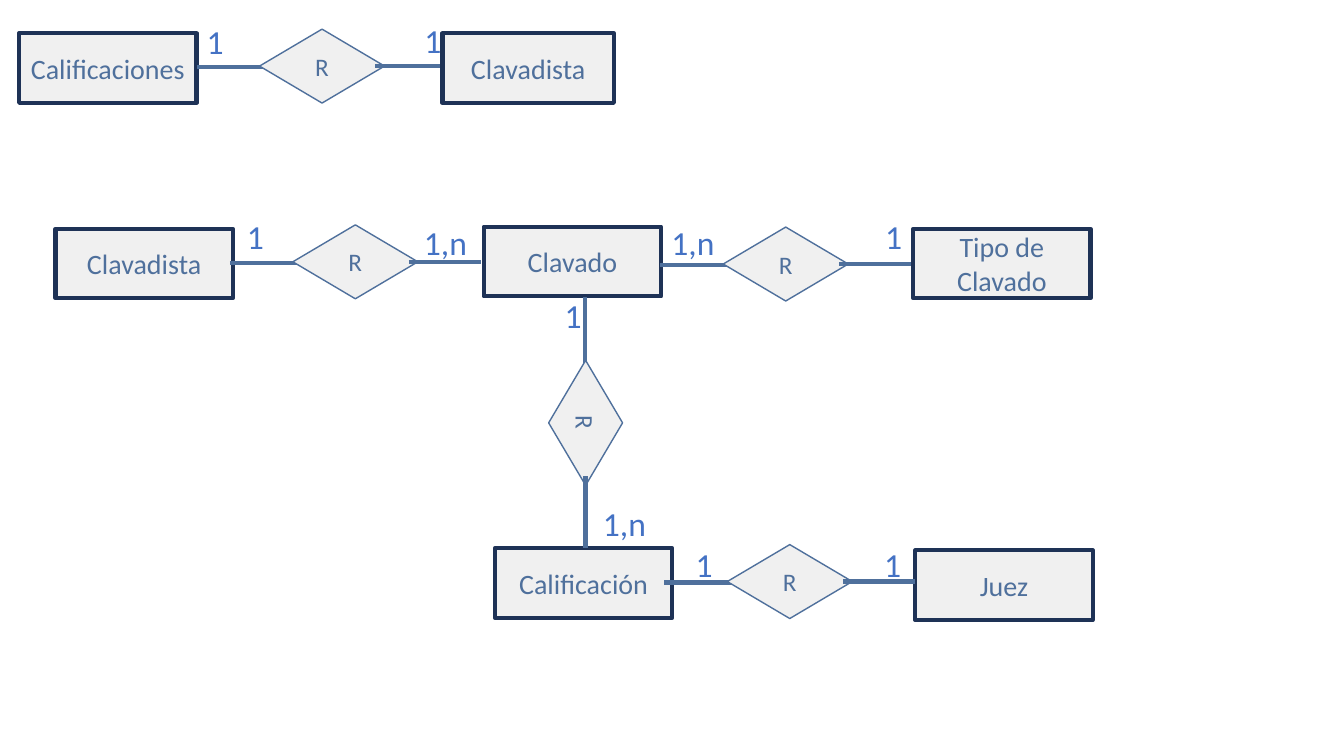
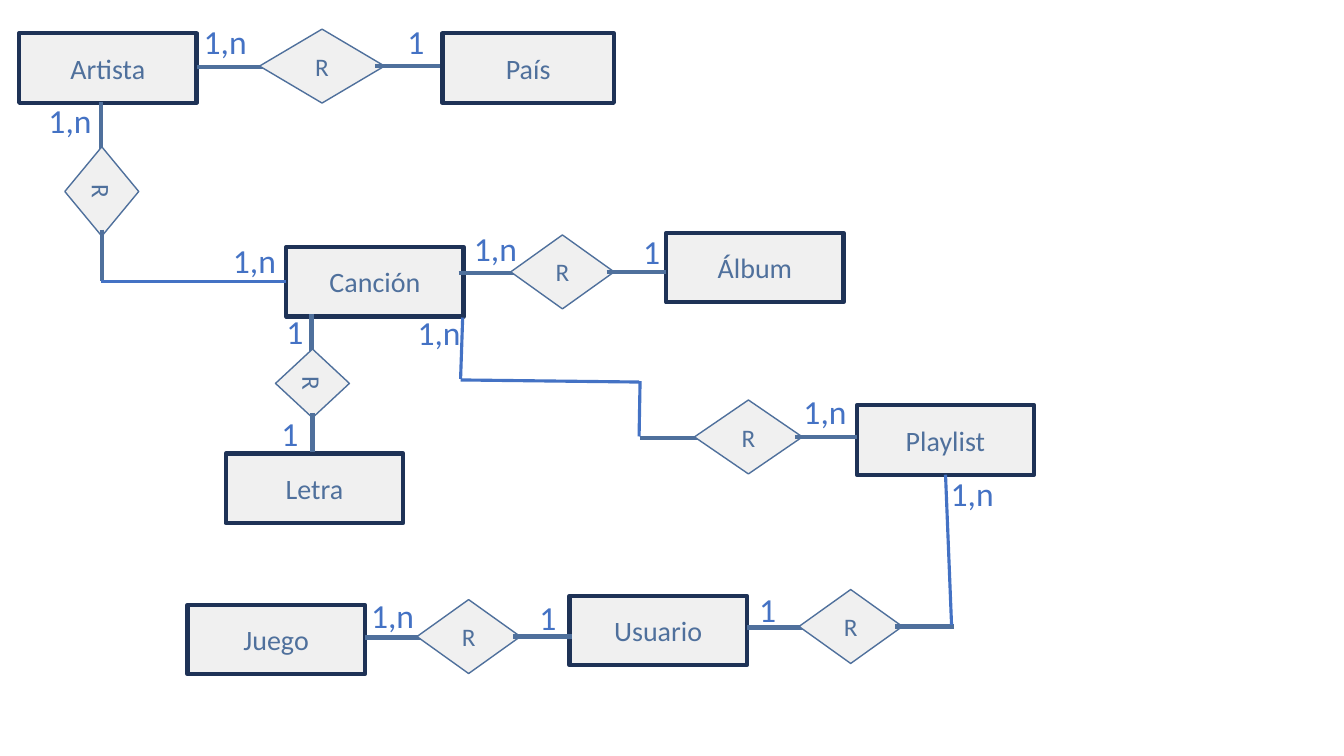
"""Build two slides of entity-relationship diagrams."""
import dataclasses

import lxml.etree
import pptx
import pptx.dml.color
import pptx.enum.shapes
import pptx.enum.text
import pptx.oxml.ns
import pptx.util

Pt = pptx.util.Pt
Shapes = pptx.enum.shapes.MSO_SHAPE
color = pptx.dml.color.RGBColor.from_string


@dataclasses.dataclass(frozen=True)
class Theme:
    font: str = "Calibri"
    fill: str = "F0F0F0"
    border: str = "1E3256"
    steel: str = "4F709C"
    accent: str = "4472C4"
    entity_size: int = 20
    relation_size: int = 18
    label_size: int = 24


theme = Theme()
ENTITY_WIDTH, ENTITY_HEIGHT = 126.7, 49.7
DIAMOND_HEIGHT = 52.8
LABEL_WIDTH, LABEL_HEIGHT = 46, 36.3
LINE_SHARE, DIAMOND_SHARE = 0.287, 0.498

DIAGRAMS = [
    {
        "elements": [
            ("entity", "Calificaciones", 13.7, 23.8),
            ("across", 140.4, 47.2, 179.3),
            ("entity", "Clavadista", 316.1, 23.8, 122.4),
            ("entity", "Clavadista", 39.6, 163.4),
            ("entity", "Clavado", 345.6, 162),
            ("entity", "Tipo de Clavado", 652.3, 163.4),
            ("entity", "Juez", 653.8, 393.1),
            ("across", 164.2, 187, 179.3),
            ("across", 471.6, 188.6, 179.3),
            ("entity", "Calificación", 353.5, 391.7),
            ("down", 212.4, 418.3, 179.3),
            ("across", 474.5, 415.4, 179.3),
        ],
        "labels": [
            ("1", 153.7, 11.5), ("1", 309.2, 10.8),
            ("1", 182.5, 150.5), ("1,n", 318.2, 154.8),
            ("1,n", 495, 154.8), ("1", 638.3, 150.5),
            ("1,n", 446, 355.7), ("1", 409.3, 207.4),
            ("1", 502.9, 385.2), ("1", 637.6, 385.2),
        ],
    },
    {
        "elements": [
            ("entity", "Artista", 13.7, 23.8),
            ("across", 140.4, 47.2, 179.3),
            ("entity", "País", 316.1, 23.8, 122.4),
            ("entity", "Canción", 204.5, 176.4),
            ("down", 72.7, 72.7, 128.2),
            ("link", (204.5, 200.9), (72, 200.9)),
            ("entity", "Álbum", 475.9, 166.3),
            ("across", 327.6, 194.2, 148.3),
            ("entity", "Letra", 161.3, 324),
            ("down", 224.6, 223.2, 98.6),
            ("entity", "Juego", 133.9, 432),
            ("entity", "Usuario", 406.8, 425.5),
            ("entity", "Playlist", 612, 289.4),
            ("across", 260.6, 454.7, 148.3),
            ("across", 533.5, 447.5, 148.3),
            ("link", (675.4, 339.1), (679.7, 446.4)),
            ("across", 457.2, 312.1, 154.8),
            ("link", (457.2, 272.2), (456.5, 311.8)),
            ("link", (329, 271.4), (456.5, 272.9)),
            ("link", (330.5, 226.8), (329, 270.7)),
        ],
        "labels": [
            ("1,n", 160.9, 11.5), ("1", 297, 11.5),
            ("1,n", 50, 67.7), ("1,n", 181.8, 167.8),
            ("1", 465.5, 161.3), ("1,n", 353.9, 159.1),
            ("1", 210.6, 218.2), ("1", 207, 291.6),
            ("1", 391.3, 422.6), ("1,n", 280.4, 421.2),
            ("1", 548.3, 416.9), ("1,n", 694.4, 334.1),
            ("1,n", 313.6, 218.9), ("1,n", 589.3, 275.8),
        ],
    },
]


def add_text(slide, text, *, box, size, ink, preset=None, border=None, weight=0, rotation=0):
    """Add centred text, inside a preset shape if one is given."""
    frame = [Pt(length) for length in box]
    if preset is None:
        shape = slide.shapes.add_textbox(*frame)
        anchor = pptx.enum.text.MSO_ANCHOR.TOP
    else:
        shape = slide.shapes.add_shape(preset, *frame)
        shape.shadow.inherit = False
        shape.fill.solid()
        shape.fill.fore_color.rgb = color(theme.fill)
        shape.line.color.rgb = color(border)
        shape.line.width = Pt(weight)
        shape.rotation = rotation
        anchor = pptx.enum.text.MSO_ANCHOR.MIDDLE
    shape.text_frame.word_wrap = True
    shape.text_frame.vertical_anchor = anchor
    paragraph = shape.text_frame.paragraphs[0]
    paragraph.alignment = pptx.enum.text.PP_ALIGN.CENTER
    run = paragraph.add_run()
    run.text = text
    run.font.name = theme.font
    run.font.size = Pt(size)
    run.font.color.rgb = color(ink)


def add_line(slide, start, end, ink, weight):
    """Add a straight connector without a shadow."""
    connector = slide.shapes.add_connector(
        pptx.enum.shapes.MSO_CONNECTOR.STRAIGHT,
        *[Pt(length) for length in (*start, *end)],
    )
    connector.line.color.rgb = color(ink)
    connector.line.width = Pt(weight)
    lxml.etree.SubElement(connector._element.spPr, pptx.oxml.ns.qn("a:effectLst"))


presentation = pptx.Presentation()
presentation.slide_width = Pt(960)
presentation.slide_height = Pt(540)

for diagram in DIAGRAMS:
    slide = presentation.slides.add_slide(presentation.slide_layouts[6])
    for kind, *values in diagram["elements"]:
        if kind == "entity":
            name, left, top, *custom_width = values
            width = custom_width[0] if custom_width else ENTITY_WIDTH
            add_text(slide, name, box=(left, top, width, ENTITY_HEIGHT),
                     size=theme.entity_size, ink=theme.steel,
                     preset=Shapes.RECTANGLE, border=theme.border, weight=3)
        elif kind == "link":
            add_line(slide, *values, theme.accent, 2.25)
        else:
            start, axis, length = values
            end, reach = start + length, length * LINE_SHARE
            middle, width = start + length / 2, length * DIAMOND_SHARE
            down = kind == "down"
            shift = -0.7 if down else 0.7
            first = [(start, axis + shift), (start + reach, axis + shift)]
            second = [(end - reach, axis), (end, axis)]
            center_x, center_y = (axis, middle) if down else (middle, axis)
            if down:
                first, second = ([point[::-1] for point in line] for line in (first, second))
            add_line(slide, *first, theme.steel, 3)
            add_text(slide, "R",
                     box=(center_x - width / 2, center_y - DIAMOND_HEIGHT / 2,
                          width, DIAMOND_HEIGHT),
                     size=theme.relation_size, ink=theme.steel,
                     preset=Shapes.FLOWCHART_DECISION, border=theme.steel,
                     weight=1, rotation=90 if down else 0)
            add_line(slide, *second, theme.steel, 3)
    for text, center, top in diagram["labels"]:
        add_text(slide, text, box=(center - LABEL_WIDTH / 2, top, LABEL_WIDTH, LABEL_HEIGHT),
                 size=theme.label_size, ink=theme.accent)

presentation.save("out.pptx")
